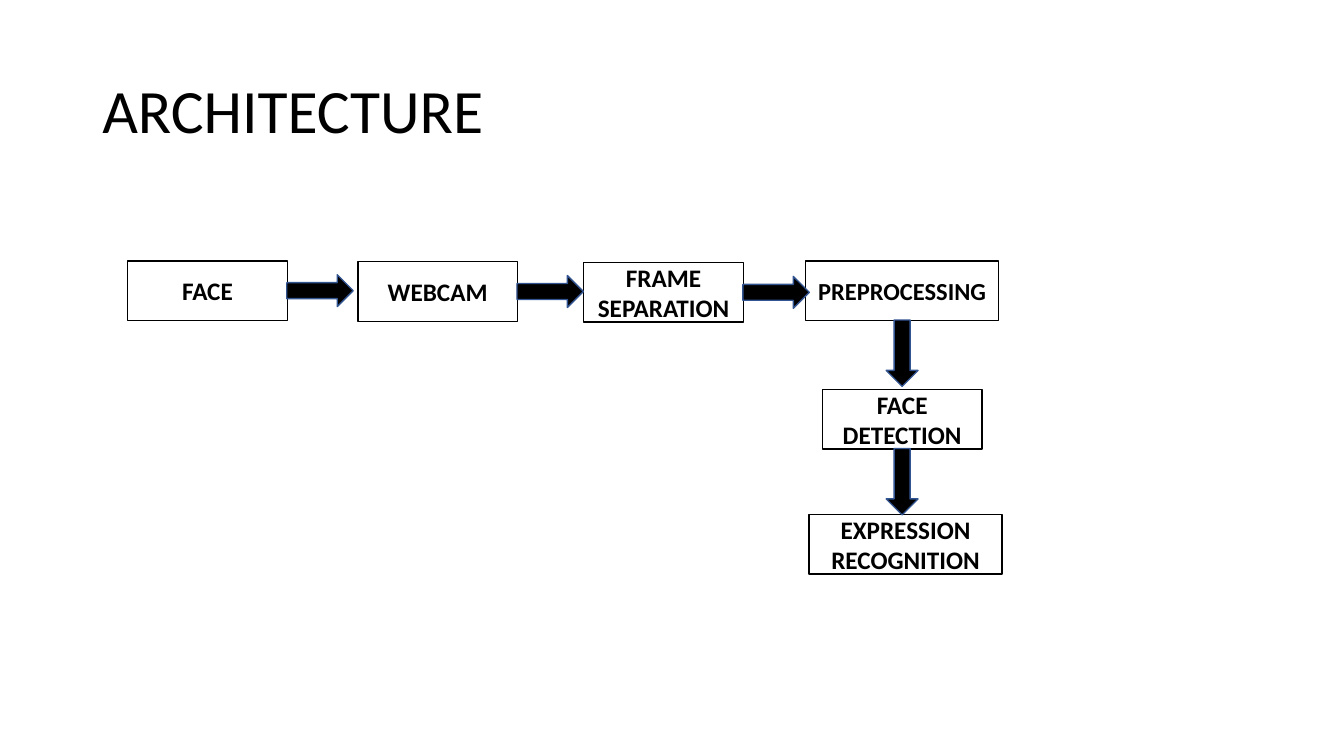
from dataclasses import dataclass
from pptx import Presentation
from pptx.dml.color import RGBColor
from pptx.enum.shapes import MSO_SHAPE
from pptx.enum.text import MSO_ANCHOR, PP_ALIGN
from pptx.util import Inches, Pt


@dataclass(frozen=True)
class Theme:
    font: str = "Calibri"
    ink: RGBColor = RGBColor(0, 0, 0)
    edge: RGBColor = RGBColor(0x32, 0x54, 0x91)
    paper: RGBColor = RGBColor(255, 255, 255)
    title: float = 44
    label: float = 18
    tight: float = 17.5
    line: float = 1


class Board:
    """Draws on one slide, with lengths in cells of a 16 by 9 grid."""

    def __init__(self, deck, theme):
        self.theme = theme
        self.slide = deck.slides.add_slide(deck.slide_layouts[6])
        self.slide.background.fill.solid()
        self.slide.background.fill.fore_color.rgb = theme.paper
        self.col, self.row = deck.slide_width / 16, deck.slide_height / 9

    def area(self, x, y, w, h):
        """Turn a centre and a size in cells into left, top, width, height."""
        return (round((x - w / 2) * self.col), round((y - h / 2) * self.row),
                round(w * self.col), round(h * self.row))

    def label(self, shape, text, size, bold=False, align=PP_ALIGN.LEFT):
        frame = shape.text_frame
        frame.word_wrap = True
        frame.vertical_anchor = MSO_ANCHOR.MIDDLE
        frame.text = text
        para = frame.paragraphs[0]
        para.alignment = align
        font = para.font
        font.name, font.size, font.bold = self.theme.font, Pt(size), bold
        font.color.rgb = self.theme.ink
        return para

    def shape(self, kind, area, color):
        item = self.slide.shapes.add_shape(kind, *self.area(*area))
        item.shadow.inherit = False
        item.line.color.rgb = color
        item.line.width = Pt(self.theme.line)
        return item

    def title(self, text, *area):
        box = self.slide.shapes.add_textbox(*self.area(*area))
        self.label(box, text, self.theme.title).line_spacing = 0.9

    def box(self, text, size, *area):
        item = self.shape(MSO_SHAPE.RECTANGLE, area, self.theme.ink)
        item.fill.background()
        self.label(item, text, size, True, PP_ALIGN.CENTER)

    def arrow(self, x, y, turn=0):
        item = self.shape(MSO_SHAPE.DOWN_ARROW, (x, y, 0.38, 0.79), self.theme.edge)
        item.fill.solid()
        item.fill.fore_color.rgb = self.theme.ink
        item.rotation = turn


def main():
    deck = Presentation()
    deck.slide_width, deck.slide_height = Inches(13.33), Inches(7.5)
    theme = Theme()
    board = Board(deck, theme)

    # Heading
    board.title("ARCHITECTURE", 8, 1.35, 13.8, 1.74)

    # Steps: label, size, centre, width
    steps = [
        ("FACE", theme.label, 2.47, 3.46, 1.9),
        ("WEBCAM", theme.label, 5.21, 3.47, 1.9),
        ("FRAME SEPARATION", theme.label, 7.9, 3.48, 1.9),
        ("PREPROCESSING", theme.tight, 10.74, 3.46, 2.3),
        ("FACE DETECTION", theme.label, 10.74, 4.99, 1.9),
        ("EXPRESSION RECOGNITION", theme.label, 10.78, 6.48, 2.3),
    ]
    tall, reach = 0.71, 0.39
    for text, size, x, y, wide in steps:
        board.box(text, size, x, y, wide, tall)

    # Arrows leave the right side along the row, then the bottom side
    for place, (_, _, x, y, wide) in enumerate(steps[:-1]):
        if place < 3:
            board.arrow(x + wide / 2 + reach, y, 270)
        else:
            board.arrow(x, y + tall / 2 + reach)

    deck.save("out.pptx")


if __name__ == "__main__":
    main()
